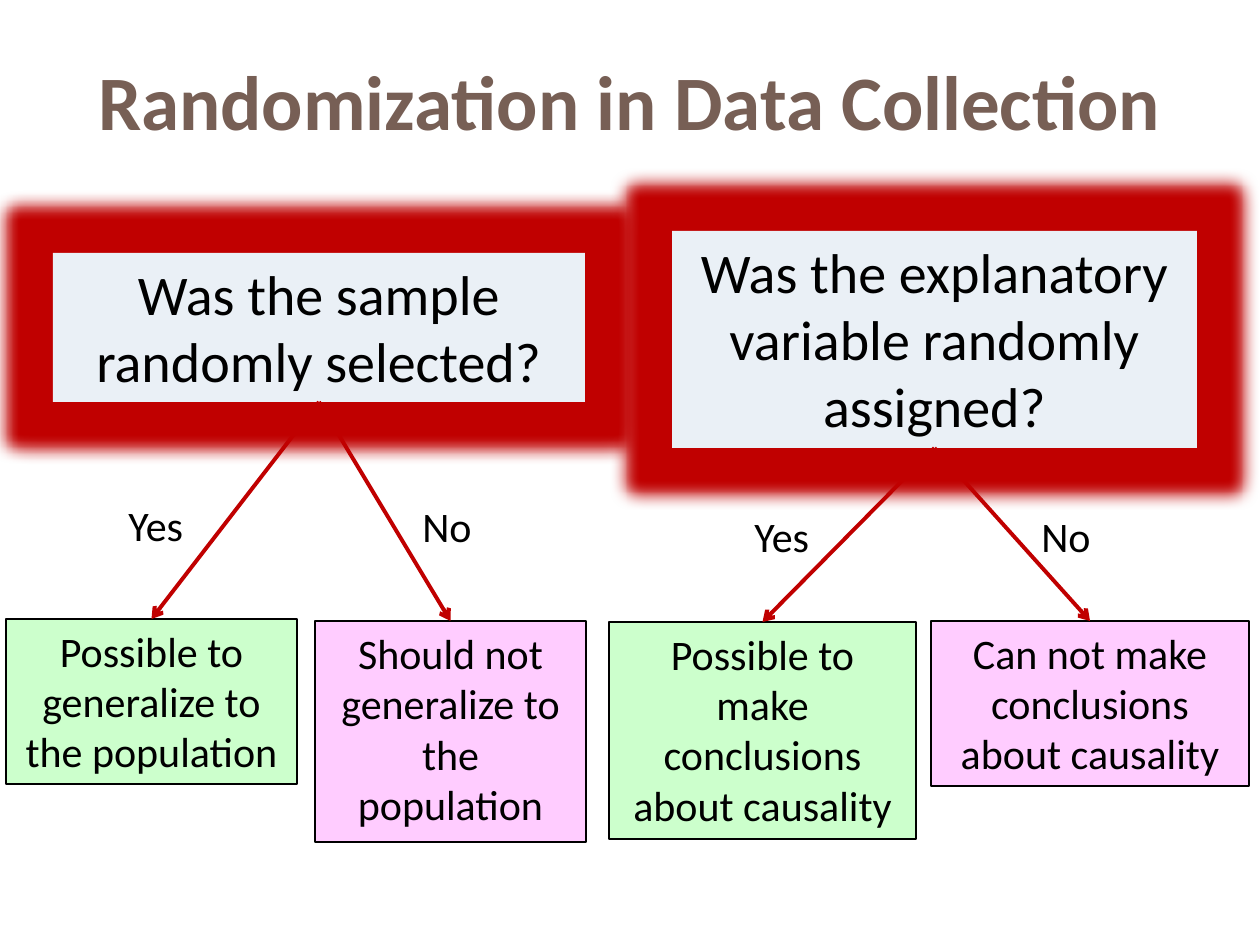
from lxml import etree
from pptx import Presentation
from pptx.dml.color import RGBColor
from pptx.enum.shapes import MSO_CONNECTOR, MSO_SHAPE
from pptx.enum.text import MSO_ANCHOR, MSO_AUTO_SIZE, PP_ALIGN
from pptx.oxml import parse_xml
from pptx.oxml.ns import nsdecls, qn
from pptx.util import Emu, Pt

TITLE = "Randomization in Data Collection"
TREES = [
    {
        "question": ("Was the sample randomly selected?", (53, 253, 532, 149)),
        "branches": [
            ("Yes", (116, 493), "Possible to generalize to the population", (6, 619, 291, 165)),
            ("No", (410, 494), "Should not generalize to the population", (315, 621, 271, 221)),
        ],
    },
    {
        "question": ("Was the explanatory variable randomly assigned?", (672, 231, 525, 217)),
        "branches": [
            ("Yes", (742, 504), "Possible to make conclusions about causality", (609, 622, 307, 217)),
            ("No", (1029, 504), "Can not make conclusions about causality", (931, 621, 318, 165)),
        ],
    },
]
COLORS = {
    "title": "775F55",
    "text": "000000",
    "question": "EAF0F6",
    "Yes": "CCFFCC",
    "No": "FFCCFF",
    "accent": "C00000",
}
LABEL_SIZE = (154, 63)
GLOW_RADIUS = Pt(18)
BOTTOM, TOP = 2, 0


def px(n):
    return Emu(round(n * 914400 / 126))


def rgb(name):
    return RGBColor.from_string(COLORS[name])


def write(sp, text, size=24, color="text", bold=False, align=PP_ALIGN.CENTER,
          anchor=MSO_ANCHOR.TOP, fit=MSO_AUTO_SIZE.SHAPE_TO_FIT_TEXT):
    tf = sp.text_frame
    tf.word_wrap = True
    tf.auto_size = fit
    tf.vertical_anchor = anchor
    p = tf.paragraphs[0]
    p.alignment = align
    r = p.add_run()
    r.text = text
    r.font.name = "Calibri"
    r.font.size = Pt(size)
    r.font.bold = bold
    r.font.color.rgb = rgb(color)


def add_box(shapes, text, box, fill, size=24, outlined=True):
    sp = shapes.add_shape(MSO_SHAPE.RECTANGLE, *map(px, box))
    sp.shadow.inherit = False
    sp.fill.solid()
    sp.fill.fore_color.rgb = rgb(fill)
    if outlined:
        sp.line.color.rgb = rgb("text")
        sp.line.width = Pt(0.75)
    else:
        sp.line.fill.background()
    write(sp, text, size=size)
    return sp


def add_glow(sp):
    effects = sp._element.spPr.find(qn("a:effectLst"))
    effects.append(parse_xml(
        f'<a:glow {nsdecls("a")} rad="{GLOW_RADIUS}">'
        f'<a:srgbClr val="{COLORS["accent"]}"/></a:glow>'))


def add_arrow(shapes, start, end):
    line = shapes.add_connector(MSO_CONNECTOR.STRAIGHT, 0, 0, 0, 0)
    line.begin_connect(start, BOTTOM)
    line.end_connect(end, TOP)
    line.line.color.rgb = rgb("accent")
    line.line.width = Pt(2.25)
    etree.SubElement(line.line._get_or_add_ln(), qn("a:tailEnd"), type="arrow")
    etree.SubElement(line._element.spPr, qn("a:effectLst"))


def add_tree(shapes, tree):
    question = add_box(shapes, *tree["question"], "question", size=32, outlined=False)
    add_glow(question)
    for label, spot, answer, box in tree["branches"]:
        sp = add_box(shapes, answer, box, label)
        add_arrow(shapes, question, sp)
        tb = shapes.add_textbox(*map(px, spot + LABEL_SIZE))
        write(tb, label, align=PP_ALIGN.LEFT)


def main():
    prs = Presentation()
    prs.slide_width, prs.slide_height = px(1260), px(945)
    s = prs.slides.add_slide(prs.slide_layouts[5])
    title = s.shapes.title
    title.left, title.top, title.width, title.height = map(px, (63, 21, 1134, 158))
    write(title, TITLE, size=44, color="title", bold=True,
          anchor=MSO_ANCHOR.MIDDLE, fit=MSO_AUTO_SIZE.NONE)
    for tree in TREES:
        add_tree(s.shapes, tree)
    prs.save("out.pptx")


if __name__ == "__main__":
    main()
